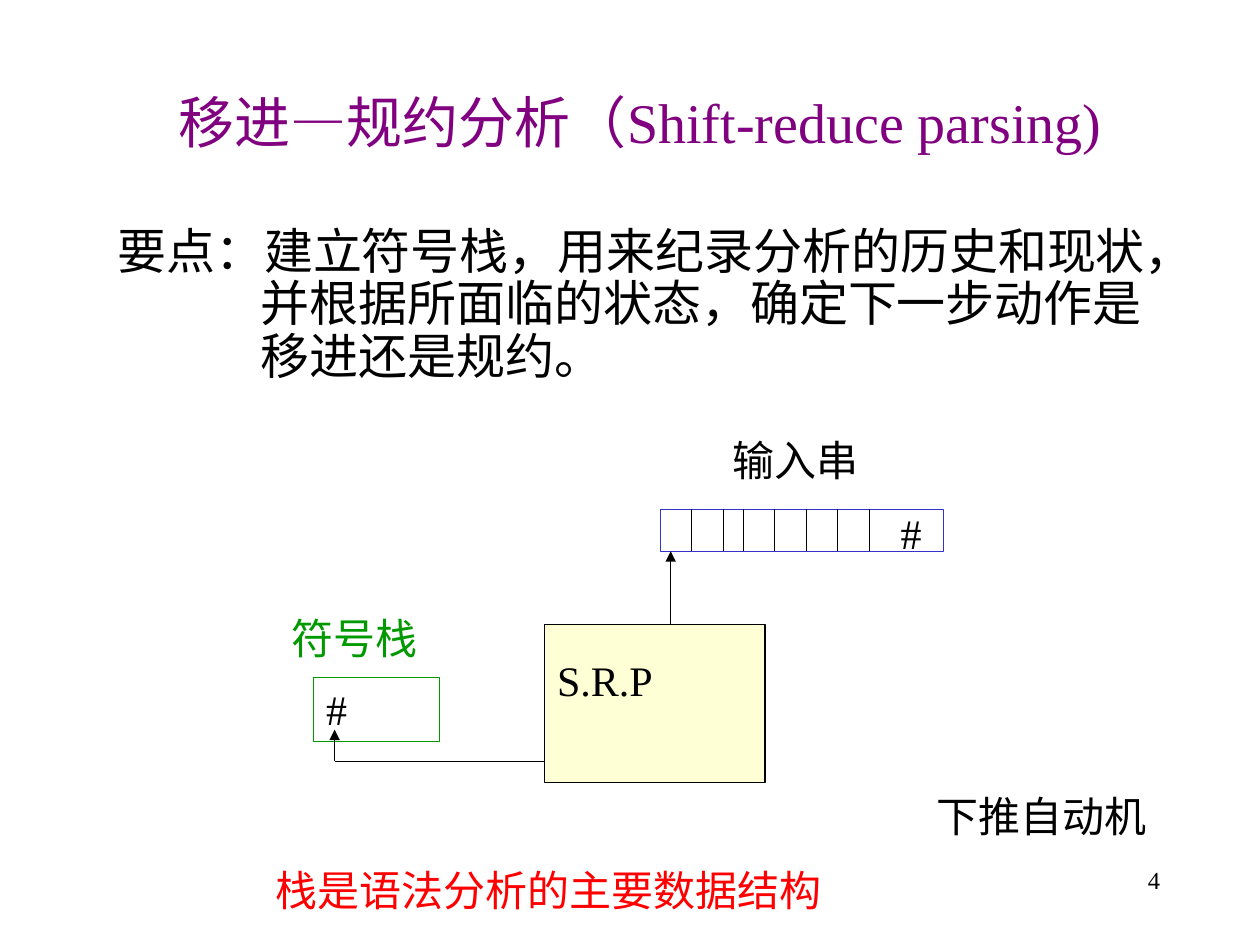
from dataclasses import dataclass
from itertools import accumulate

import pptx
import pptx.dml.color
import pptx.enum.shapes
import pptx.enum.text
import pptx.oxml.ns
import pptx.util
from lxml import etree

Pt = pptx.util.Pt
RGBColor = pptx.dml.color.RGBColor
ALIGN = pptx.enum.text.PP_ALIGN
ANCHOR = pptx.enum.text.MSO_ANCHOR
qn = pptx.oxml.ns.qn

BLACK = RGBColor(0x00, 0x00, 0x00)
PURPLE = RGBColor(0x80, 0x00, 0x80)
GREEN = RGBColor(0x00, 0x99, 0x00)
BLUE = RGBColor(0x33, 0x33, 0xCC)
RED = RGBColor(0xFF, 0x00, 0x00)
CREAM = RGBColor(0xFF, 0xFF, 0xD5)
FONT = "Times New Roman"


@dataclass
class Box:
    x: float
    y: float
    w: float
    h: float


@dataclass
class Label:
    text: str
    box: Box
    color: RGBColor = BLACK
    wrap: bool = False


@dataclass
class Line:
    x1: float
    y1: float
    x2: float
    y2: float
    arrow: bool = False


def set_text(sp, text: str, *, size: float = 24, color: RGBColor = BLACK,
             align=ALIGN.LEFT, anchor=ANCHOR.TOP, wrap: bool = True,
             spacing: float = 1.0, hanging: float = 0):
    tf = sp.text_frame
    tf.word_wrap = wrap
    tf.vertical_anchor = anchor
    p = tf.paragraphs[0]
    p.alignment = align
    p.line_spacing = spacing
    if hanging:
        pPr = p._p.get_or_add_pPr()
        pPr.set("marL", str(Pt(hanging)))
        pPr.set("indent", str(-Pt(hanging)))
    r = p.add_run()
    r.text = text
    r.font.size = Pt(size)
    r.font.name = FONT
    r.font.color.rgb = color
    return tf


def add_text(s, text: str, box: Box, **fmt):
    sp = s.shapes.add_textbox(Pt(box.x), Pt(box.y), Pt(box.w), Pt(box.h))
    return set_text(sp, text, **fmt)


def add_rect(s, box: Box, line: RGBColor, fill: RGBColor | None = None):
    sp = s.shapes.add_shape(pptx.enum.shapes.MSO_SHAPE.RECTANGLE,
                            Pt(box.x), Pt(box.y), Pt(box.w), Pt(box.h))
    sp.shadow.inherit = False
    if fill is None:
        sp.fill.background()
    else:
        sp.fill.solid()
        sp.fill.fore_color.rgb = fill
    sp.line.color.rgb = line
    sp.line.width = Pt(0.75)
    return sp


def add_line(s, line: Line) -> None:
    c = s.shapes.add_connector(pptx.enum.shapes.MSO_CONNECTOR.STRAIGHT,
                               Pt(line.x1), Pt(line.y1), Pt(line.x2), Pt(line.y2))
    c.line.color.rgb = BLACK
    c.line.width = Pt(0.75)
    if line.arrow:
        etree.SubElement(c.line._get_or_add_ln(), qn("a:tailEnd"), type="triangle")
    etree.SubElement(c._element.spPr, qn("a:effectLst"))


STACK = Box(179.25, 387, 72, 36.75)
PARSER = Box(311.25, 357, 126, 90)
TAPE = Box(377.25, 291, 162, 24)
CELL_WIDTHS = [18, 18, 11.5, 18, 18, 18, 18]

LABELS = [
    Label("#", Box(507.5, 286.5, 27, 36)),
    Label("符号栈", Box(159.75, 346.5, 87, 36), GREEN),
    Label("输入串", Box(411.75, 244.5, 87, 36)),
    Label("栈是语法分析的主要数据结构", Box(150.5, 490.5, 330, 36.5), RED),
    Label("下推自动机", Box(528, 448, 192, 36.5), wrap=True),
]

STACK_TOP_X, LINK_Y, READ_X = 191.25, 435, 383.25
LINKS = [
    Line(PARSER.x, LINK_Y, STACK_TOP_X, LINK_Y),
    Line(STACK_TOP_X, LINK_Y, STACK_TOP_X, 417, arrow=True),
    Line(READ_X, PARSER.y, READ_X, TAPE.y + TAPE.h, arrow=True),
]


def main() -> None:
    prs = pptx.Presentation()
    prs.slide_width, prs.slide_height = Pt(720), Pt(540)
    s = prs.slides.add_slide(prs.slide_layouts[6])

    # Title, key point and page number
    add_text(s, "移进—规约分析（Shift-reduce parsing)", Box(24, 24, 684, 90),
             size=32, color=PURPLE, align=ALIGN.CENTER, anchor=ANCHOR.MIDDLE)
    add_text(s, "要点：建立符号栈，用来纪录分析的历史和现状，"
                "并根据所面临的状态，确定下一步动作是移进还是规约。",
             Box(60, 126, 612, 108), size=28, spacing=0.9, hanging=82)
    add_text(s, "4", Box(520, 491, 150, 36), size=14, align=ALIGN.RIGHT)

    # Symbol stack and parser
    set_text(add_rect(s, STACK, GREEN), "#")
    tf = set_text(add_rect(s, PARSER, BLACK, CREAM), "S.R.P",
                  anchor=ANCHOR.MIDDLE, wrap=False)
    tf.margin_bottom = Pt(31)

    # Input tape with its cell borders
    add_rect(s, TAPE, BLUE)
    for offset in accumulate(CELL_WIDTHS):
        x = TAPE.x + offset
        add_line(s, Line(x, TAPE.y, x, TAPE.y + TAPE.h))

    # Links and labels
    for link in LINKS:
        add_line(s, link)
    for label in LABELS:
        add_text(s, label.text, label.box, color=label.color, wrap=label.wrap)

    prs.save("out.pptx")


if __name__ == "__main__":
    main()
